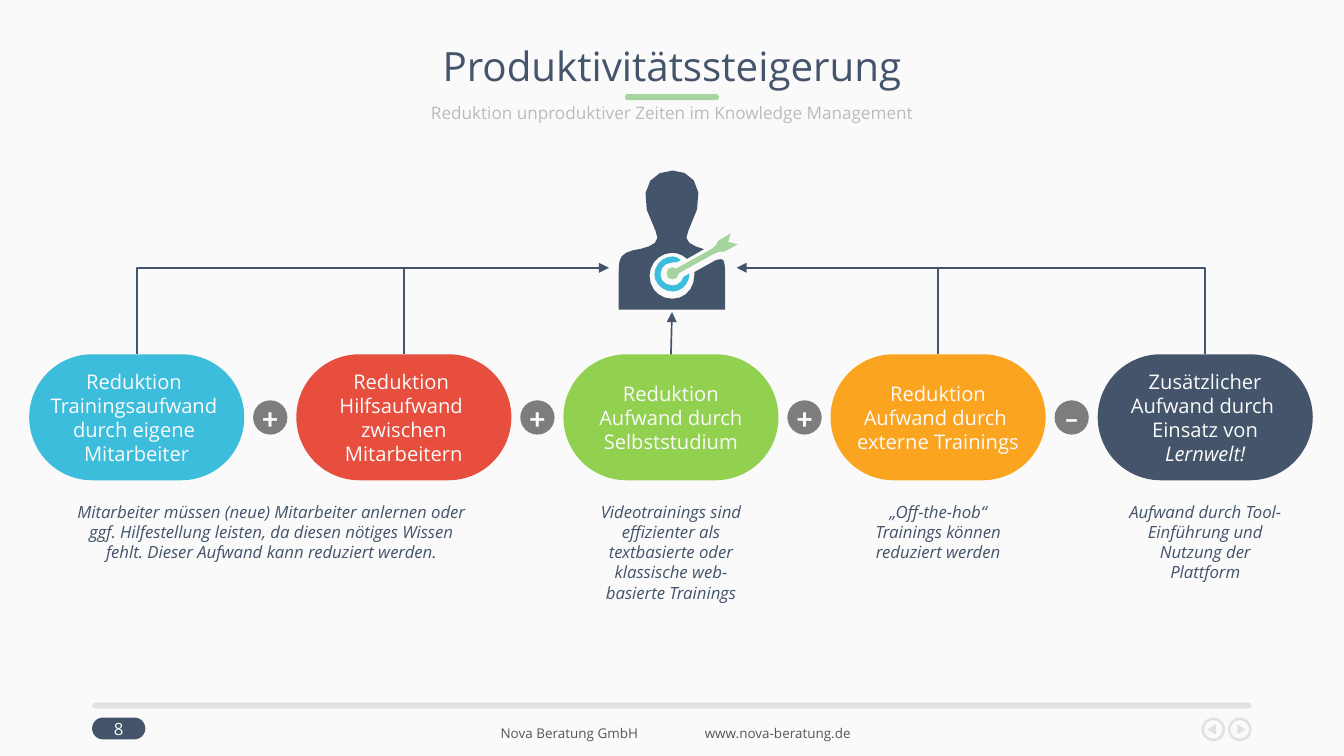
from dataclasses import dataclass
from math import ceil, dist

from lxml.etree import SubElement
from pptx import Presentation
from pptx.dml.color import RGBColor
from pptx.enum.shapes import MSO_CONNECTOR, MSO_SHAPE
from pptx.enum.text import MSO_ANCHOR, PP_ALIGN
from pptx.oxml.ns import qn
from pptx.util import Pt


@dataclass(frozen=True)
class Theme:
    font: str = "Open Sans"
    symbol_font: str = "Calibri"
    paper: str = "FAFAFA"
    navy: str = "44546A"
    blue: str = "3CBDDC"
    red: str = "E74E3E"
    green: str = "92D050"
    orange: str = "FBA41F"
    mint: str = "A6D49F"
    badge: str = "7D7D7D"
    rule: str = "E1E1E1"
    subtitle: str = "BBBBBB"
    footer: str = "565656"
    title_size: float = 24
    symbol_size: float = 18
    factor_size: float = 12
    subtitle_size: float = 10.2
    body_size: float = 10
    footer_size: float = 8


THEME = Theme()

# Row of factors: centre of the first pill, pitch and pill size
FIRST_X, PITCH, ROW_Y = 81.4, 159, 248.4
PILL_W, PILL_H = 128, 75
ARROW_Y = 159.4

FACTORS = [
    (THEME.blue, ["Reduktion ", "Trainingsaufwand ", "durch eigene ", "Mitarbeiter"]),
    (THEME.red, ["Reduktion ", "Hilfsaufwand ", "zwischen", "Mitarbeitern"]),
    (THEME.green, ["Reduktion", "Aufwand durch", "Selbststudium"]),
    (THEME.orange, ["Reduktion", "Aufwand durch ", "externe Trainings"]),
    (THEME.navy, ["Zusätzlicher", "Aufwand durch ", "Einsatz von", "Lernwelt!"]),
]
OPERATORS = ["+", "+", "+", "–"]

# Captions: centre, width, text
CAPTIONS = [
    (161.5, 249, "Mitarbeiter müssen (neue) Mitarbeiter anlernen oder ggf. Hilfestellung leisten, "
                 "da diesen nötiges Wissen fehlt. Dieser Aufwand kann reduziert werden."),
    (399.4, 111, "Videotrainings sind effizienter als textbasierte oder klassische "
                 "web-basierte Trainings"),
    (558.4, 111, "„Off-the-hob“ Trainings können reduziert werden"),
    (717.4, 111, "Aufwand durch Tool-Einführung und Nutzung der Plattform"),
]

# Icon outlines in hundredths of an inch: pairs are corners, sixes are Bézier curves
PERSON = [(598, 215), (599, 217, 599.5, 221, 599.5, 225), (599.5, 256), (511.5, 256),
          (511.5, 225), (511.5, 215, 512, 210, 523, 207), (535, 205, 548, 202, 542, 191),
          (524, 159, 537, 141, 556, 141), (574, 141, 587, 158, 569, 191),
          (564, 200, 572, 203, 582, 206), (568, 214), (565, 211, 560, 209, 556, 209),
          (545, 209, 537, 218, 537, 228), (537, 239, 545, 247, 556, 247),
          (566, 247, 574, 239, 574, 228), (574, 225), (592, 215),
          (595, 214, 597, 214, 598, 215)]
DART = [(594, 199), (593, 202, 591, 204, 588, 206), (559, 222), (556, 221),
        (553, 221, 551, 223, 551, 226), (551, 229, 553, 231, 556, 231),
        (559, 231, 561, 229, 561, 226), (590, 210), (593, 208, 596, 208, 599, 208),
        (610, 202), (602, 200), (604, 193)]
TARGET = [(556, 236), (550, 236, 546, 232, 546, 227), (546, 221, 550, 217, 556, 217),
          (559, 217), (563, 215), (561, 213, 558, 212, 556, 212),
          (548, 212, 541, 219, 541, 227), (541, 234, 548, 241, 556, 241),
          (564, 241, 570, 234, 570, 226), (565, 229), (564, 233, 560, 236, 556, 236)]


def column_x(position):
    return FIRST_X + PITCH * position


def write(shape, lines, size, color, font=THEME.font, bold=None, italic=None,
          spacing=None, inset=0, wrap=True, anchor=MSO_ANCHOR.MIDDLE):
    frame = shape.text_frame
    frame.word_wrap = wrap
    frame.vertical_anchor = anchor
    frame.margin_left = frame.margin_right = Pt(2 * inset)
    frame.margin_top = frame.margin_bottom = Pt(inset)
    frame.text = "\n".join(lines)
    for line in frame.paragraphs:
        line.alignment = PP_ALIGN.CENTER
        line.line_spacing = spacing
        line.font.name, line.font.size = font, Pt(size)
        line.font.bold, line.font.italic = bold, italic
        line.font.color.rgb = RGBColor.from_string(color)
    return frame


def paint(shape, color):
    shape.shadow.inherit = False
    shape.fill.solid()
    shape.fill.fore_color.rgb = RGBColor.from_string(color)
    shape.line.fill.background()
    return shape


def place(shape, x, y, width, height):
    shape.left, shape.top, shape.width, shape.height = Pt(x), Pt(y), Pt(width), Pt(height)


def add_centred(slide, kind, x, y, width, height, color):
    return paint(slide.shapes.add_shape(
        kind, Pt(x - width / 2), Pt(y - height / 2), Pt(width), Pt(height)), color)


def add_bar(slide, x, y, width, height, color):
    bar = add_centred(slide, MSO_SHAPE.ROUNDED_RECTANGLE, x, y, width, height, color)
    bar.adjustments[0] = 0.5
    return bar


def add_label(slide, x, top, width, height, text, size, color, **style):
    label = slide.shapes.add_textbox(Pt(x - width / 2), Pt(top), Pt(width), Pt(height))
    write(label, [text], size, color, **style)


def add_outline(slide, outline, color):
    points = [outline[0]]
    for segment in outline[1:]:
        if len(segment) == 2:
            points.append(segment)
            continue
        curve = [points[-1], segment[:2], segment[2:4], segment[4:]]
        steps = min(5, ceil(dist(curve[0], curve[3]) / 5))
        for step in range(1, steps + 1):
            t = step / steps
            weights = ((1 - t) ** 3, 3 * t * (1 - t) ** 2, 3 * t * t * (1 - t), t ** 3)
            points.append(tuple(sum(w * p[axis] for w, p in zip(weights, curve))
                                for axis in (0, 1)))
    corners = [(Pt(x * 0.72), Pt(y * 0.72)) for x, y in points]
    builder = slide.shapes.build_freeform(*corners[0])
    builder.add_line_segments(corners[1:], close=True)
    paint(builder.convert_to_shape(), color)


def add_link(slide, x, y, pill, bent=True, arrow=True):
    kind = MSO_CONNECTOR.ELBOW if bent else MSO_CONNECTOR.STRAIGHT
    link = slide.shapes.add_connector(kind, Pt(x), Pt(y), Pt(x), Pt(y))
    link.end_connect(pill, 0)
    link.line.width = Pt(1)
    link.line.color.rgb = RGBColor.from_string(THEME.navy)
    properties = link._element.spPr
    if bent:  # a single corner
        properties.find(qn("a:prstGeom")).set("prst", "bentConnector2")
    if arrow:
        SubElement(properties.find(qn("a:ln")), qn("a:headEnd"), type="triangle")
    SubElement(properties, qn("a:effectLst"))


def add_heading(slide):
    title, subtitle = slide.shapes.title, slide.placeholders[1]
    place(title, 55, 24, 690, 34)
    write(title, ["Produktivitätssteigerung"], THEME.title_size, THEME.navy, spacing=0.9)
    place(subtitle, 55, 59.8, 690, 17)
    write(subtitle, ["Reduktion unproduktiver Zeiten im Knowledge Management"],
          THEME.subtitle_size, THEME.subtitle, spacing=0.8)
    add_bar(slide, 400, 57.8, 56, 3.6, THEME.mint)


def add_footer(slide):
    add_bar(slide, 400, 420, 690, 3.6, THEME.rule)
    page = add_bar(slide, 70.7, 433.6, 31.7, 13, THEME.navy)
    write(page, ["8"], THEME.body_size, THEME.paper, wrap=False)
    for x, text in ((339, "Nova Beratung GmbH"), (463, "www.nova-beratung.de")):
        add_label(slide, x, 429, 110, 15, text, THEME.footer_size, THEME.footer)
    # Back and forward buttons
    for x, direction in ((722.2, -1), (738, 1)):
        ring = add_centred(slide, MSO_SHAPE.DONUT, x, 434.2, 14, 14, THEME.rule)
        ring.adjustments[0] = 0.1
        tip = add_centred(slide, MSO_SHAPE.ISOSCELES_TRIANGLE,
                          x + direction, 434.2, 5.8, 5, THEME.rule)
        tip.rotation = 90 * direction


def main():
    deck = Presentation()
    deck.slide_width, deck.slide_height = Pt(800), Pt(450)
    slide = deck.slides.add_slide(deck.slide_layouts[0])
    slide.background.fill.solid()
    slide.background.fill.fore_color.rgb = RGBColor.from_string(THEME.paper)
    add_heading(slide)
    add_footer(slide)

    # Factors and the operators between them
    pills = []
    for index, (color, lines) in enumerate(FACTORS):
        pill = add_bar(slide, column_x(index), ROW_Y, PILL_W, PILL_H, color)
        frame = write(pill, lines, THEME.factor_size, THEME.paper, wrap=False)
        pills.append(pill)
    frame.paragraphs[-1].font.italic = True
    for index, operator in enumerate(OPERATORS):
        badge = add_centred(slide, MSO_SHAPE.OVAL, column_x(index + 0.5), 248.5,
                            20.4, 20.4, THEME.badge)
        write(badge, [operator], THEME.symbol_size, THEME.paper,
              font=THEME.symbol_font, bold=True, wrap=False)

    # Links from the factors to the employee
    for x, inner, outer in ((362.5, 1, 0), (438.5, 3, 4)):
        add_link(slide, x, ARROW_Y, pills[inner])
        add_link(slide, column_x(inner), ARROW_Y, pills[outer], arrow=False)
    add_link(slide, 400, 185.8, pills[2], bent=False)

    # Employee with target and dart
    for outline, color in ((PERSON, THEME.navy), (DART, THEME.mint), (TARGET, THEME.blue)):
        add_outline(slide, outline, color)

    for x, width, text in CAPTIONS:
        add_label(slide, x, 295, width, 44, text, THEME.body_size,
                  THEME.navy, italic=True, inset=3.6, anchor=MSO_ANCHOR.TOP)
    deck.save("out.pptx")


if __name__ == "__main__":
    main()
